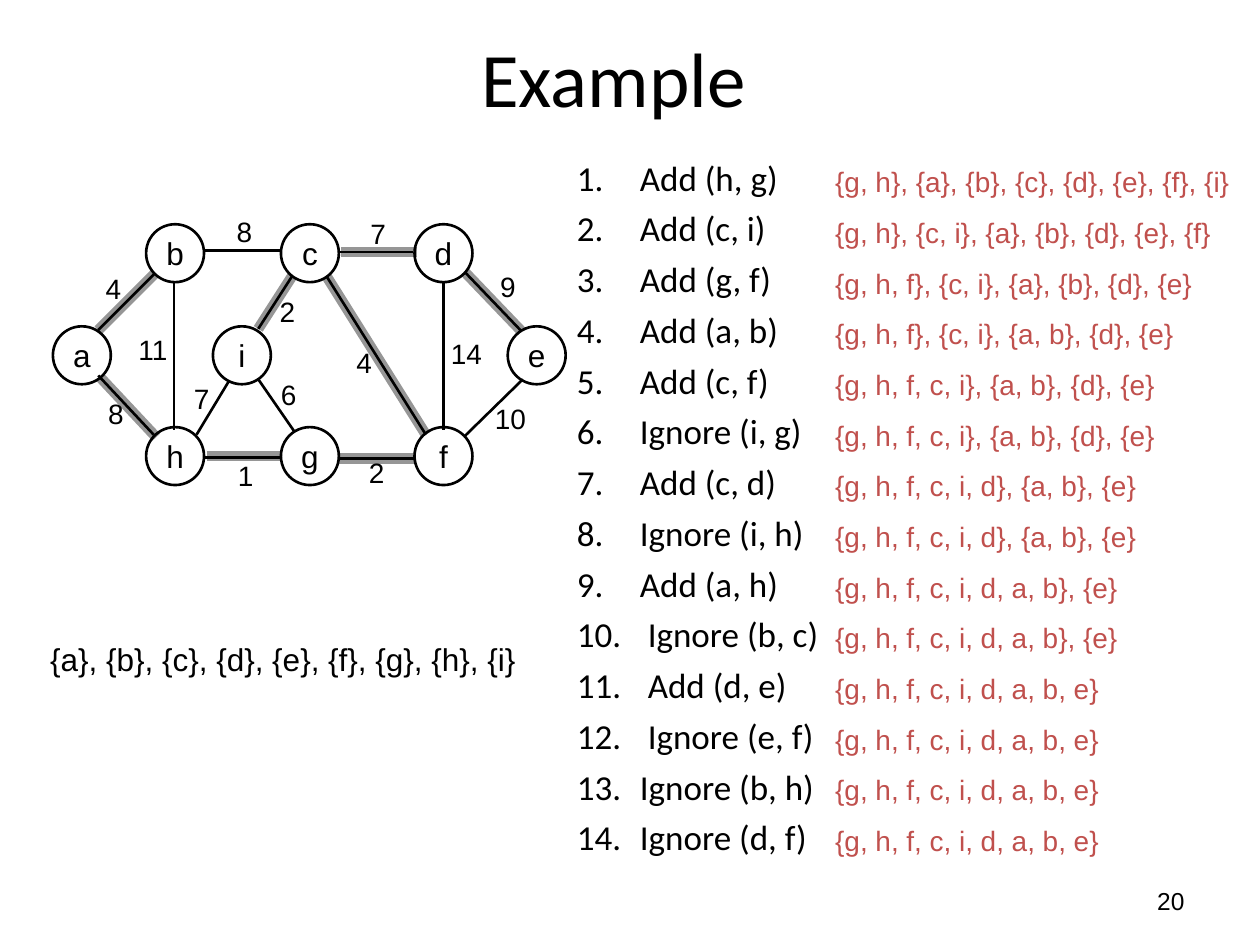
from lxml import etree
from pptx import Presentation
from pptx.dml.color import RGBColor
from pptx.enum.shapes import MSO_CONNECTOR, MSO_SHAPE
from pptx.enum.text import MSO_ANCHOR, MSO_AUTO_SIZE, PP_ALIGN
from pptx.oxml.ns import qn
from pptx.util import Inches, Pt

LEFT, CENTER, RIGHT = PP_ALIGN.LEFT, PP_ALIGN.CENTER, PP_ALIGN.RIGHT
TOP, MIDDLE = MSO_ANCHOR.TOP, MSO_ANCHOR.MIDDLE
GROW = MSO_AUTO_SIZE.SHAPE_TO_FIT_TEXT
STRAIGHT = MSO_CONNECTOR.STRAIGHT
OVAL = MSO_SHAPE.OVAL

COLORS = {"text": "000000", "tree": "969696", "sets": "C0504D"}

NODE_SIZE = 0.46
NODES = {
    "a": (0.42, 2.59), "b": (1.16, 1.78), "c": (2.23, 1.78),
    "d": (3.29, 1.78), "e": (4.03, 2.59), "h": (1.16, 3.39),
    "g": (2.23, 3.39), "f": (3.29, 3.39), "i": (1.69, 2.59),
}

# Start x, start y, end x, end y
EDGES = {
    "bh": (1.38, 2.24, 1.38, 3.41),
    "df": (3.52, 2.24, 3.52, 3.41),
    "bc": (1.62, 1.99, 2.22, 1.99),
    "cd": (2.68, 2, 3.28, 2),
    "hg": (1.62, 3.63, 2.22, 3.63),
    "gf": (2.69, 3.64, 3.3, 3.64),
    "ab": (0.78, 2.62, 1.23, 2.17),
    "fe": (3.69, 3.46, 4.15, 3.01),
    "de": (3.69, 2.16, 4.14, 2.63),
    "ah": (0.78, 2.98, 1.22, 3.45),
    "cf": (2.59, 2.19, 3.38, 3.45),
    "ig": (2.05, 3.01, 2.34, 3.43),
    "hi": (1.56, 3.45, 1.82, 3.02),
    "ic": (2.05, 2.61, 2.32, 2.19),
}

# Tree edges with the offset of their highlight
TREE = {
    "ah": (0.02, 0.02), "ab": (0, 0), "cd": (0.03, 0), "hg": (0.02, -0.01),
    "gf": (0, 0), "ic": (0, 0), "cf": (0, 0), "de": (0, 0),
}

WEIGHTS = [
    ("4", 0.74, 2.11), ("8", 1.78, 1.65), ("7", 2.84, 1.67),
    ("8", 0.76, 3.1), ("11", 1, 2.59), ("1", 1.79, 3.59),
    ("2", 2.83, 3.57), ("7", 1.44, 2.98), ("2", 2.12, 2.29),
    ("4", 2.73, 2.69), ("14", 3.48, 2.62), ("9", 3.87, 2.09),
    ("10", 3.83, 3.14), ("6", 2.13, 2.95),
]

# Each step and the sets that follow from it
STEPS = [
    ("Add (h, g)", "{g, h}, {a}, {b}, {c}, {d}, {e}, {f}, {i}"),
    ("Add (c, i)", "{g, h}, {c, i}, {a}, {b}, {d}, {e}, {f}"),
    ("Add (g, f)", "{g, h, f}, {c, i}, {a}, {b}, {d}, {e}"),
    ("Add (a, b)", "{g, h, f}, {c, i}, {a, b}, {d}, {e}"),
    ("Add (c, f)", "{g, h, f, c, i}, {a, b}, {d}, {e}"),
    ("Ignore (i, g)", "{g, h, f, c, i}, {a, b}, {d}, {e}"),
    ("Add (c, d)", "{g, h, f, c, i, d}, {a, b}, {e}"),
    ("Ignore (i, h)", "{g, h, f, c, i, d}, {a, b}, {e}"),
    ("Add (a, h)", "{g, h, f, c, i, d, a, b}, {e}"),
    (" Ignore (b, c)", "{g, h, f, c, i, d, a, b}, {e}"),
    (" Add (d, e)", "{g, h, f, c, i, d, a, b, e}"),
    (" Ignore (e, f)", "{g, h, f, c, i, d, a, b, e}"),
    ("Ignore (b, h)", "{g, h, f, c, i, d, a, b, e}"),
    ("Ignore (d, f)", "{g, h, f, c, i, d, a, b, e}"),
]


def color(name):
    return RGBColor.from_string(COLORS[name])


def set_text(shape, *lines, size=18, font="Arial", color_name="text", align=LEFT,
             anchor=TOP, wrap=True, auto_size=None, space_before=0,
             line_spacing=None, hanging=0, numbered=False):
    """Write each line as one paragraph, all in the same format."""
    frame = shape.text_frame
    frame.word_wrap = wrap
    frame.auto_size = auto_size
    frame.vertical_anchor = anchor
    for index, line in enumerate(lines):
        paragraph = frame.add_paragraph() if index else frame.paragraphs[0]
        paragraph.text = line
        paragraph.alignment = align
        if index:
            paragraph.space_before = Pt(space_before)
        if line_spacing:
            paragraph.line_spacing = line_spacing
        properties = paragraph._p.get_or_add_pPr()
        if hanging:
            properties.set("marL", str(Inches(hanging)))
            properties.set("indent", str(-Inches(hanging)))
        if numbered:
            etree.SubElement(properties, qn("a:buFont"), typeface="+mj-lt")
            etree.SubElement(properties, qn("a:buAutoNum"), type="arabicPeriod")
        paragraph.font.size = Pt(size)
        paragraph.font.name = font
        paragraph.font.color.rgb = color(color_name)


def add_text(shapes, left, top, width, height, *lines, **text_format):
    box = shapes.add_textbox(Inches(left), Inches(top), Inches(width), Inches(height))
    set_text(box, *lines, **text_format)


def add_line(shapes, start_x, start_y, end_x, end_y, color_name, weight):
    line = shapes.add_connector(STRAIGHT, Inches(start_x), Inches(start_y),
                                Inches(end_x), Inches(end_y))
    line.line.color.rgb = color(color_name)
    line.line.width = Pt(weight)
    etree.SubElement(line._element.spPr, qn("a:effectLst"))


def add_node(shapes, name, left, top):
    node = shapes.add_shape(OVAL, Inches(left), Inches(top),
                            Inches(NODE_SIZE), Inches(NODE_SIZE))
    node.shadow.inherit = False
    node.fill.background()
    node.line.color.rgb = color("text")
    node.line.width = Pt(1.5)
    set_text(node, name, align=CENTER, anchor=MIDDLE, wrap=False)


def add_graph(slide):
    for edge, (dx, dy) in TREE.items():
        x1, y1, x2, y2 = EDGES[edge]
        add_line(slide.shapes, x1 + dx, y1 + dy, x2 + dx, y2 + dy, "tree", 6)
    graph = slide.shapes.add_group_shape().shapes
    for name, position in NODES.items():
        add_node(graph, name, *position)
    for ends in EDGES.values():
        add_line(graph, *ends, "text", 1.5)
    for weight, left, top in WEIGHTS:
        width = 0.32 if len(weight) == 1 else 0.46
        add_text(graph, left, top, width, 0.37, weight, size=16, wrap=False,
                 auto_size=GROW)


def main():
    presentation = Presentation()
    presentation.slide_width, presentation.slide_height = Inches(10), Inches(7.5)
    slide = presentation.slides.add_slide(presentation.slide_layouts[6])
    shapes = slide.shapes
    steps, sets = zip(*STEPS)

    add_text(shapes, 0.37, 0.11, 9, 0.99, "Example", size=44, font="Calibri",
             align=CENTER, anchor=MIDDLE)
    add_text(shapes, 4.48, 1.19, 2.31, 5.82, *steps, size=20, font="Calibri",
             space_before=5, hanging=0.5, numbered=True)
    add_text(shapes, 7.17, 6.95, 2.33, 0.4, "20", size=14, align=RIGHT, anchor=MIDDLE)
    add_graph(slide)
    add_text(shapes, 6.53, 1.18, 3.39, 5.82, *sets, size=16, color_name="sets",
             space_before=4, line_spacing=1.3, hanging=0.5)
    add_text(shapes, 0.3, 4.94, 3.9, 0.49, "{a}, {b}, {c}, {d}, {e}, {f}, {g}, {h}, {i}",
             line_spacing=1.3, wrap=False, auto_size=GROW)
    presentation.save("out.pptx")


if __name__ == "__main__":
    main()
